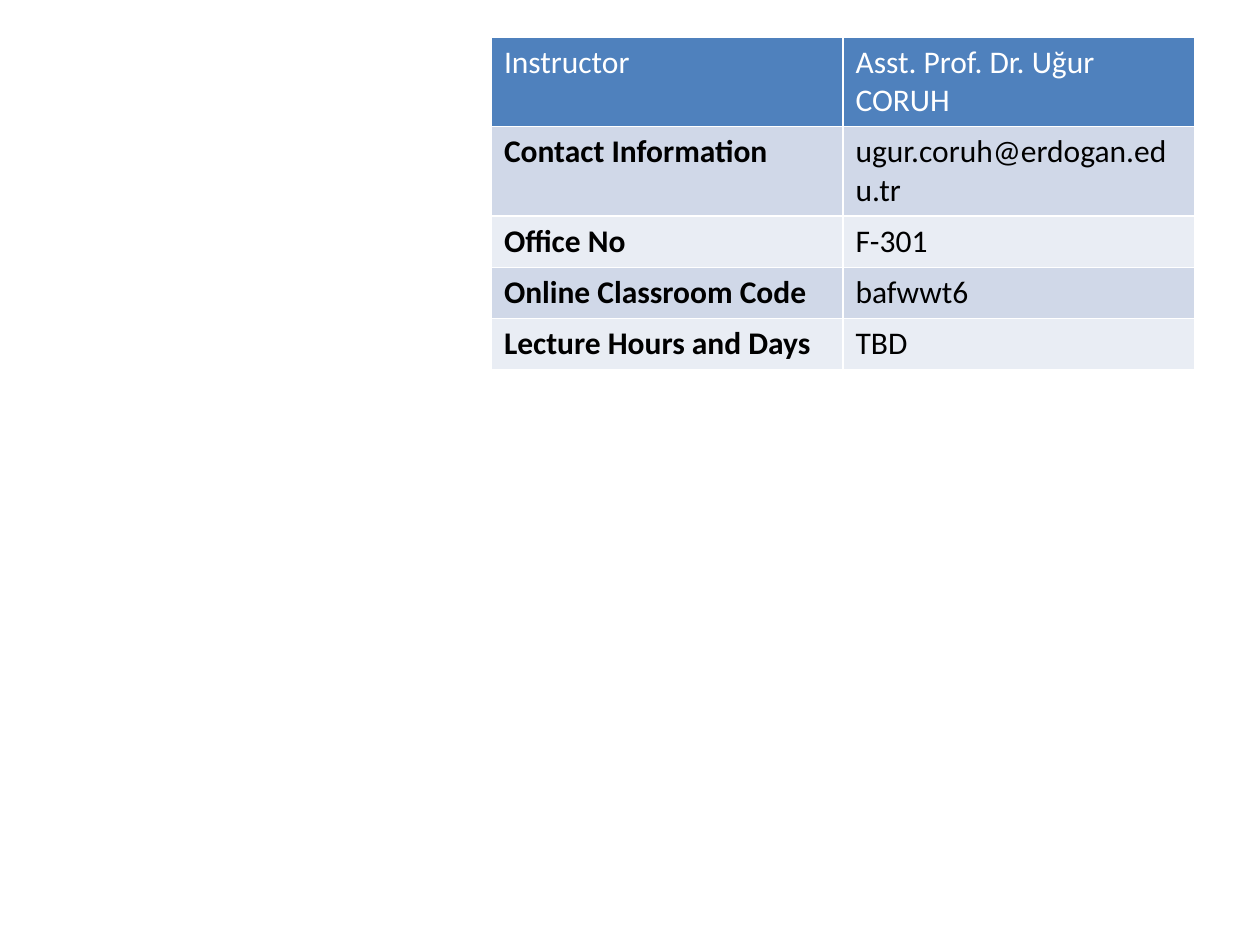
from pptx import Presentation
from pptx.dml.color import RGBColor as RGB
from pptx.util import Pt

COLORS = {
    "header": "4F81BD",
    "header_text": "FFFFFF",
    "odd_band": "D0D8E8",
    "even_band": "E9EDF4",
    "text": "000000",
}
ONE_LINE, TWO_LINES = 29.2, 51
COLUMN_WIDTH = 200.9

course_details = [
    ("Instructor", "Asst. Prof. Dr. Uğur CORUH", TWO_LINES),
    ("Contact Information", "ugur.coruh@erdogan.edu.tr", TWO_LINES),
    ("Office No", "F-301", ONE_LINE),
    ("Online Classroom Code", "bafwwt6", ONE_LINE),
    ("Lecture Hours and Days", "TBD", ONE_LINE),
]

deck = Presentation()
deck.slide_width, deck.slide_height = Pt(720), Pt(540)
page = deck.slides.add_slide(deck.slide_layouts[6])

# The default table style supplies the white cell borders.
table_height = sum(height for _, _, height in course_details)
table = page.shapes.add_table(
    len(course_details), 2, Pt(280.8), Pt(21.2), Pt(2 * COLUMN_WIDTH), Pt(table_height)
).table
for column in table.columns:
    column.width = Pt(COLUMN_WIDTH)

for row_index, (label, value, height) in enumerate(course_details):
    table.rows[row_index].height = Pt(height)
    is_header = row_index == 0
    band = "header" if is_header else "odd_band" if row_index % 2 else "even_band"
    for column_index, text in enumerate((label, value)):
        cell = table.cell(row_index, column_index)
        cell.text = text
        cell.fill.solid()
        cell.fill.fore_color.rgb = RGB.from_string(COLORS[band])
        font = cell.text_frame.paragraphs[0].font
        font.name = "Calibri"
        font.size = Pt(18)
        font.bold = column_index == 0 and not is_header
        font.color.rgb = RGB.from_string(COLORS["header_text" if is_header else "text"])

deck.save("out.pptx")
